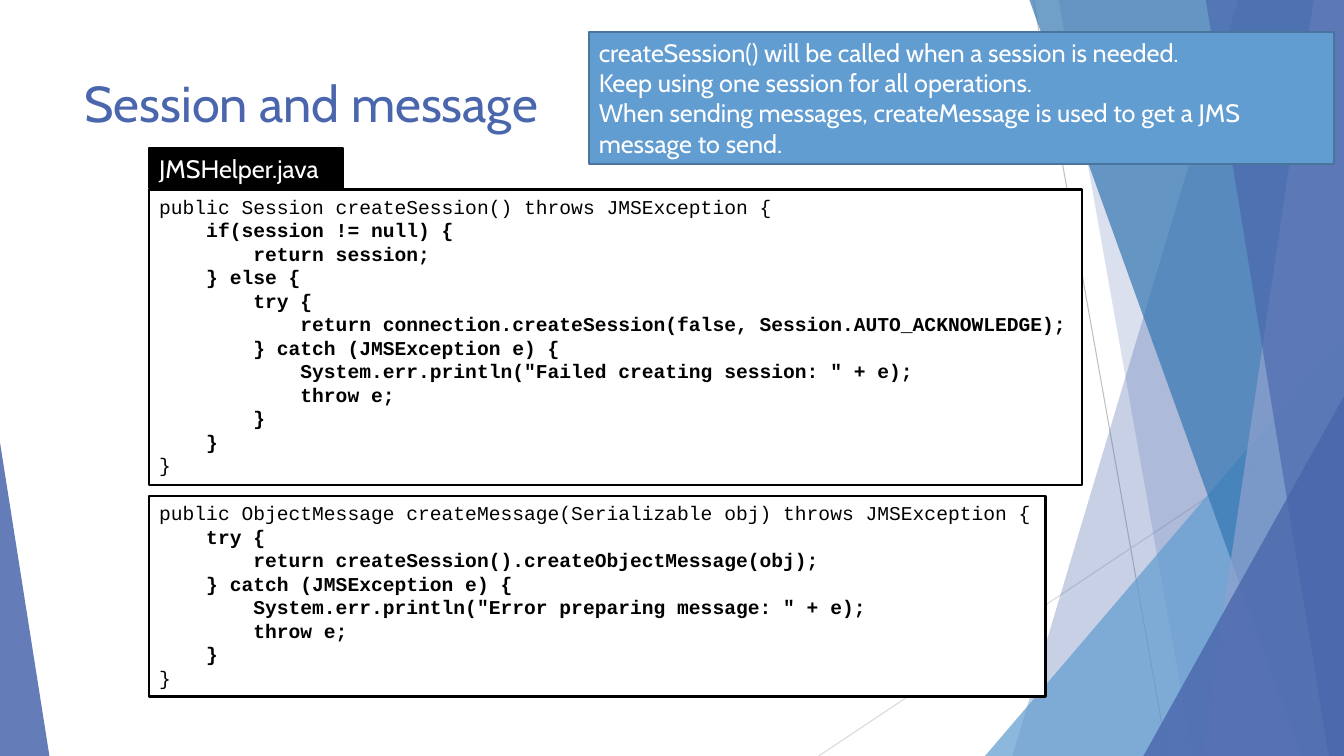
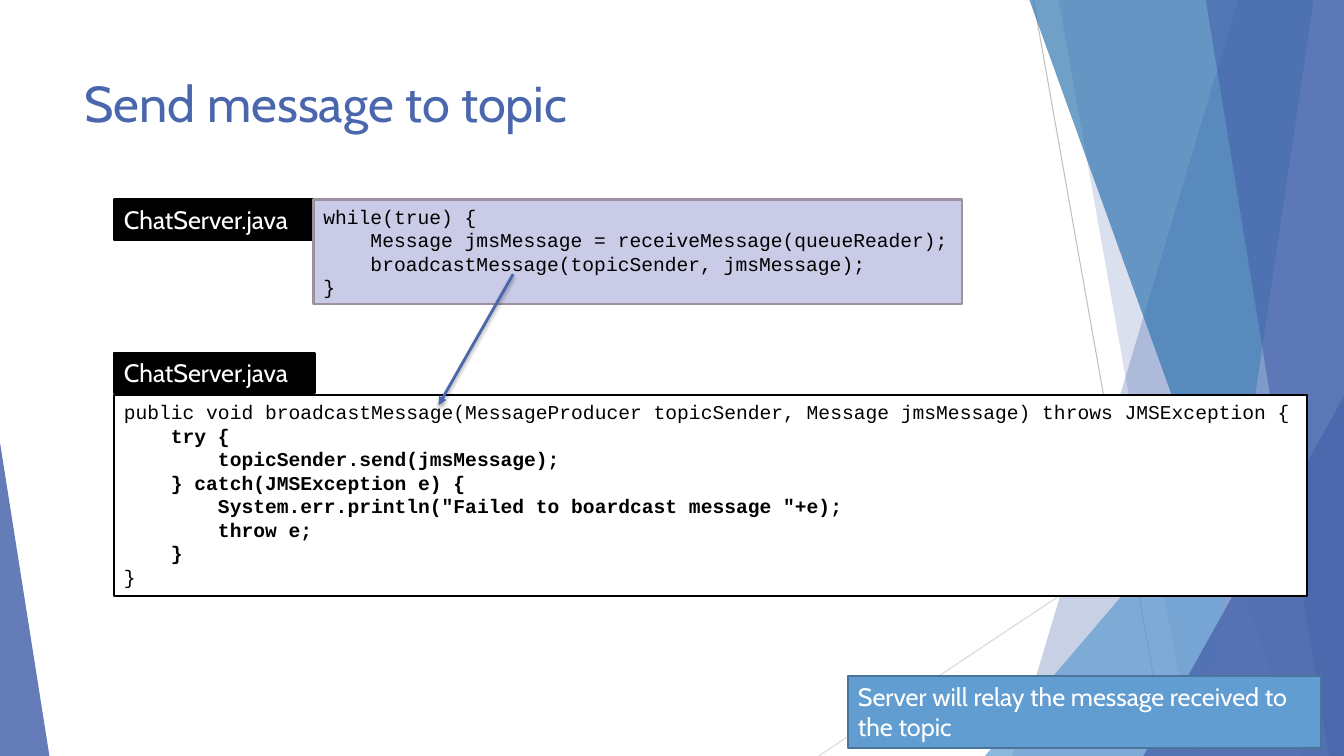
from lxml import etree
from pptx import Presentation
from pptx.dml.color import RGBColor
from pptx.enum.shapes import MSO_CONNECTOR, MSO_SHAPE
from pptx.enum.text import MSO_ANCHOR, PP_ALIGN
from pptx.oxml.ns import qn
from pptx.util import Inches, Pt

WIDTH, HEIGHT = 13.33, 7.5
BODY_FONT, CODE_FONT = "Cabin", "Courier New"

BLACK = RGBColor(0x00, 0x00, 0x00)
WHITE = RGBColor(0xFF, 0xFF, 0xFF)
INDIGO = RGBColor(0x4A, 0x66, 0xAC)
PALE_INDIGO = RGBColor(0x90, 0xA2, 0xCF)
SKY = RGBColor(0x62, 0x9D, 0xD1)
STEEL = RGBColor(0x49, 0x74, 0x9B)
OCEAN = RGBColor(0x34, 0x77, 0xB2)
LAVENDER = RGBColor(0xC9, 0xCB, 0xE7)
MAUVE = RGBColor(0x9D, 0x90, 0xA0)
GREY = RGBColor(0xBF, 0xBF, 0xBF)
LIGHT_GREY = RGBColor(0xD9, 0xD9, 0xD9)

RECTANGLE, TRIANGLE = MSO_SHAPE.RECTANGLE, MSO_SHAPE.ISOSCELES_TRIANGLE
STRAIGHT = MSO_CONNECTOR.STRAIGHT
TOP, LEFT = MSO_ANCHOR.TOP, PP_ALIGN.LEFT

CREATE_SESSION = """\
public Session createSession() throws JMSException {
    if(session != null) {
        return session;
    } else {
        try {
            return connection.createSession(false, Session.AUTO_ACKNOWLEDGE);
        } catch (JMSException e) {
            System.err.println("Failed creating session: " + e);
            throw e;
        }
    }
}"""

CREATE_MESSAGE = """\
public ObjectMessage createMessage(Serializable obj) throws JMSException {
    try {
        return createSession().createObjectMessage(obj);
    } catch (JMSException e) {
        System.err.println("Error preparing message: " + e);
        throw e;
    }
}"""

RECEIVE_LOOP = """\
while(true) {
    Message jmsMessage = receiveMessage(queueReader);
    broadcastMessage(topicSender, jmsMessage);
}"""

BROADCAST_MESSAGE = """\
public void broadcastMessage(MessageProducer topicSender, Message jmsMessage) throws JMSException {
    try {
        topicSender.send(jmsMessage);
    } catch(JMSException e) {
        System.err.println("Failed to boardcast message "+e);
        throw e;
    }
}"""


class SlideBuilder:
    """Holds the deck, its style and the slide being filled."""

    def __init__(self):
        self.deck = Presentation()
        self.deck.slide_width, self.deck.slide_height = Inches(WIDTH), Inches(HEIGHT)
        self.page = None

    def new_page(self, title):
        self.page = self.deck.slides.add_slide(self.deck.slide_layouts[6])
        self.backdrop()
        box = self.page.shapes.add_textbox(
            Inches(0.74), Inches(0.67), Inches(9.4), Inches(0.8))
        self.set_text(box, [title], BODY_FONT, 36, INDIGO)

    def backdrop(self):
        self.line((10.25, 0), (11.58, HEIGHT), GREY, 0.75)
        self.line((WIDTH, 4.03), (8.12, HEIGHT), LIGHT_GREY, 0.75)
        self.facet(12.28, 10.04, INDIGO, 30)
        self.facet(10.5, 11.83, INDIGO, 20)
        self.corner(9.77, 3.33, 3.56, 1, SKY, 72)
        self.facet(10.21, 12.91, OCEAN, 70)
        self.facet(13.03, 11.92, PALE_INDIGO, 70)
        self.facet(11.96, 13.18, INDIGO, 65)
        self.corner(11.34, 3.93, 1.99, 1, INDIGO, 80)
        self.corner(0, 4.39, 0.49, 0, INDIGO, 85)

    def facet(self, top_x, bottom_x, color, opacity):
        """Full-height band from a slanted left edge to the right of the slide."""
        builder = self.page.shapes.build_freeform(Inches(top_x), 0)
        corners = [(WIDTH, 0), (WIDTH, HEIGHT), (bottom_x, HEIGHT)]
        builder.add_line_segments([(Inches(x), Inches(y)) for x, y in corners])
        self.tint(builder.convert_to_shape(), color, opacity)

    def corner(self, left, top, width, apex, color, opacity):
        """Right triangle standing on the bottom edge; apex is 0 (left) or 1 (right)."""
        shape = self.page.shapes.add_shape(
            TRIANGLE, Inches(left), Inches(top), Inches(width), Inches(HEIGHT - top))
        shape.adjustments[0] = apex
        self.tint(shape, color, opacity)

    def tint(self, shape, color, opacity):
        shape.shadow.inherit = False
        shape.line.fill.background()
        shape.fill.solid()
        shape.fill.fore_color.rgb = color
        color_node = shape._element.spPr.find(qn("a:solidFill"))[0]
        etree.SubElement(color_node, qn("a:alpha"), val=str(opacity * 1000))

    def line(self, start, end, color, weight):
        """Draw a line without shadow; return it with its empty effect list."""
        points = [Inches(value) for value in (*start, *end)]
        connector = self.page.shapes.add_connector(STRAIGHT, *points)
        connector.line.color.rgb = color
        connector.line.width = Pt(weight)
        effects = etree.SubElement(connector._element.spPr, qn("a:effectLst"))
        return connector, effects

    def arrow(self, start, end):
        connector, effects = self.line(start, end, INDIGO, 2)
        outline = connector._element.spPr.find(qn("a:ln"))
        etree.SubElement(outline, qn("a:tailEnd"), type="triangle")
        shadow = etree.SubElement(
            effects, qn("a:outerShdw"), blurRad=str(Pt(3)), dist=str(Pt(2)),
            dir="5400000", rotWithShape="0")
        shade = etree.SubElement(shadow, qn("a:srgbClr"), val=str(BLACK))
        etree.SubElement(shade, qn("a:alpha"), val="35000")

    def panel(self, at, fill, border):
        box = self.page.shapes.add_shape(RECTANGLE, *[Inches(value) for value in at])
        box.shadow.inherit = False
        box.fill.solid()
        box.fill.fore_color.rgb = fill
        box.line.color.rgb = border
        box.line.width = Pt(1.5)
        return box

    def set_text(self, box, lines, font, size, color):
        frame = box.text_frame
        frame.word_wrap = True
        frame.vertical_anchor = TOP
        frame.text = "\n".join(lines)
        for para in frame.paragraphs:
            para.alignment = LEFT
            for span in para.runs:
                span.font.name = font
                span.font.size = Pt(size)
                span.font.color.rgb = color
        return frame.paragraphs

    def file_label(self, name, left, top, width):
        box = self.panel((left, top, width, 0.4), BLACK, BLACK)
        self.set_text(box, [name], BODY_FONT, 18, WHITE)

    def callout(self, lines, at):
        self.set_text(self.panel(at, SKY, STEEL), lines, BODY_FONT, 18, WHITE)

    def code(self, source, at, fill=WHITE, border=BLACK, bold_body=True):
        """Code listing; bold_body stresses all but the first and last line."""
        box = self.panel(at, fill, border)
        paras = self.set_text(box, source.splitlines(), CODE_FONT, 14, BLACK)
        for para in paras:
            para.line_spacing = Pt(16.8)
        if bold_body:
            for para in paras[1:-1]:
                para.runs[0].font.bold = True


def main():
    slides = SlideBuilder()

    slides.new_page("Session and message")
    slides.code(CREATE_SESSION, (1.48, 1.88, 9.25, 2.93))
    slides.file_label("JMSHelper.java", 1.48, 1.47, 1.92)
    slides.callout([
        "createSession() will be called when a session is needed.",
        "Keep using one session for all operations.",
        "When sending messages, createMessage is used to get a JMS message to send.",
    ], (5.84, 0.32, 7.39, 1.31))
    slides.code(CREATE_MESSAGE, (1.48, 4.92, 8.89, 1.99))

    slides.new_page("Send message to topic")
    slides.file_label("ChatServer.java", 1.13, 1.98, 1.99)
    slides.code(BROADCAST_MESSAGE, (1.13, 3.92, 11.83, 1.99))
    slides.code(RECEIVE_LOOP, (3.11, 1.98, 6.43, 1.04), LAVENDER, MAUVE, bold_body=False)
    slides.arrow((5.09, 2.72), (4.35, 4.02))
    slides.file_label("ChatServer.java", 1.13, 3.5, 1.99)
    slides.callout(["Server will relay the message received to the topic"],
                   (8.41, 6.71, 4.69, 0.71))

    slides.deck.save("out.pptx")


if __name__ == "__main__":
    main()
